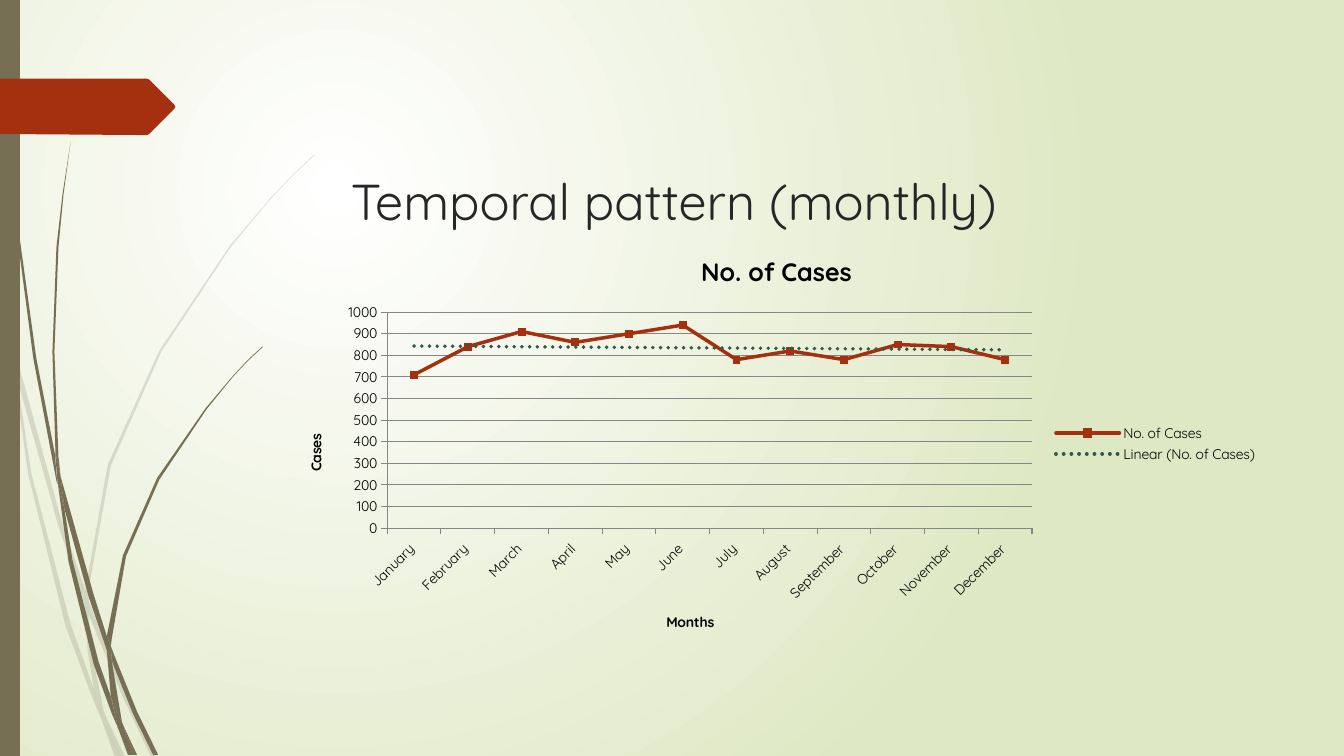
from lxml import etree
from pptx import Presentation
from pptx.chart.data import CategoryChartData
from pptx.dml.color import RGBColor
from pptx.enum.chart import XL_CHART_TYPE, XL_LEGEND_POSITION, XL_MARKER_STYLE, XL_TICK_MARK
from pptx.enum.shapes import MSO_SHAPE
from pptx.enum.text import MSO_ANCHOR, PP_ALIGN
from pptx.oxml import parse_xml
from pptx.oxml.ns import nsdecls, qn
from pptx.util import Pt

LINE_MARKERS = XL_CHART_TYPE.LINE_MARKERS
LEGEND_RIGHT = XL_LEGEND_POSITION.RIGHT
SQUARE = XL_MARKER_STYLE.SQUARE
TICK_OUT, TICK_NONE = XL_TICK_MARK.OUTSIDE, XL_TICK_MARK.NONE
RECTANGLE = MSO_SHAPE.RECTANGLE
TOP, LEFT = MSO_ANCHOR.TOP, PP_ALIGN.LEFT

EMU_PER_PX = 12192000 / 1344
OUTLINE_UNIT = 9144  # outlines are drawn on a grid of 1/100 inch
SLIDE_WIDTH, SLIDE_HEIGHT = 1344, 756
FONT = "Quicksand"
COLORS = {
    "light": "FFFFFF", "leaf": "DFE8C4", "stem": "766F54", "accent": "A53010",
    "title": "262626", "text": "000000", "grid": "868686", "trend": "325949",
}

PALE_STEMS = [
    [(11, 350), (9, 322), (0, 282), (0, 299), (10, 344)],
    [(58, 522), (84, 599), (85, 586), (62, 520), (14, 345), (17, 376)],
    [(92, 607), (88, 596), (88, 610), (123, 694), (150, 751), (155, 751), (127, 692)],
    [(119, 751), (124, 751), (105, 711)],
    [(93, 683), (70, 619), (31, 469), (17, 376), (11, 350), (28, 470), (65, 621),
     (92, 693), (101, 714), (99, 707)],
    [(84, 599), (87, 646), (93, 683), (96, 692), (105, 711), (103, 706), (91, 646),
     (88, 610), (88, 608)],
    [(88, 584), (110, 462), (160, 349), (229, 245), (268, 198), (290, 175), (312, 154),
     (312, 153), (289, 175), (268, 197), (228, 244), (158, 348), (107, 461), (85, 584),
     (85, 586), (88, 596)],
    [(101, 714), (114, 751), (119, 751)],
    [(88, 608), (88, 610), (88, 596), (85, 586), (84, 599)],
    [(96, 692), (93, 683), (99, 707), (101, 714), (119, 751), (105, 711)],
]
DARK_STEMS = [
    [(7, 110), (17, 233), (33, 355), (56, 477), (57, 481), (55, 457), (55, 453), (36, 355),
     (19, 232), (8, 109), (5, 48), (4, 0), (3, 0), (4, 48)],
    [(88, 592), (106, 645), (106, 633), (106, 631), (93, 590), (60, 472), (64, 505)],
    [(113, 649), (110, 641), (111, 656), (132, 708), (152, 749), (157, 749), (136, 706)],
    [(110, 691), (98, 657), (72, 556), (64, 505), (57, 477), (68, 557), (93, 659),
     (111, 708), (117, 722), (116, 717)],
    [(60, 472), (58, 453), (54, 349), (58, 245), (63, 193), (70, 141), (62, 193),
     (56, 245), (52, 349), (55, 449)],
    [(133, 749), (136, 749), (122, 719)],
    [(57, 477), (64, 505), (60, 472), (55, 449), (55, 453)],
    [(111, 633), (125, 552), (158, 476), (205, 406), (231, 374), (245, 359), (261, 344),
     (260, 344), (245, 358), (231, 373), (204, 405), (156, 474), (122, 551), (106, 631),
     (110, 641)],
    [(117, 722), (127, 749), (131, 749)],
    [(106, 645), (110, 691), (116, 706), (122, 719), (121, 716), (111, 656), (109, 651)],
    [(106, 645), (109, 651), (111, 656), (110, 641), (106, 631), (106, 633)],
    [(116, 706), (110, 691), (116, 717), (117, 722), (130, 749), (133, 749), (122, 719)],
]
TAG = [(173, 108), (148, 133), (146, 134), (136, 134), (0, 133), (0, 78), (136, 78),
       (146, 78), (148, 79), (173, 104), (174, 106)]
# The chart's category names end in a space, which shifts the slanted labels.
MONTHS = [month + " " for month in (
    "January", "February", "March", "April", "May", "June", "July",
    "August", "September", "October", "November", "December")]
CASES = [710, 840, 910, 860, 900, 940, 780, 820, 780, 850, 840, 780]


def px(length):
    return round(length * EMU_PER_PX)


def color(name):
    return RGBColor.from_string(COLORS[name])


def set_font(font, **formats):
    font.color.rgb = color(formats.pop("color"))
    for name, value in ({"name": FONT} | formats).items():
        setattr(font, name, value)


def paint(shape, name, opacity=100):
    shape.shadow.inherit = False
    shape.fill.solid()
    shape.fill.fore_color.rgb = color(name)
    shape.line.fill.background()
    if opacity < 100:
        tint = shape.element.spPr.find(".//" + qn("a:srgbClr"))
        etree.SubElement(tint, qn("a:alpha"), val=str(opacity * 1000))


def add_background(slide):
    slide.element.cSld.insert(0, parse_xml(
        f'<p:bg {nsdecls("p", "a")}><p:bgPr><a:gradFill rotWithShape="1"><a:gsLst>'
        f'<a:gs pos="0"><a:srgbClr val="{COLORS["light"]}"/></a:gs>'
        f'<a:gs pos="100000"><a:srgbClr val="{COLORS["leaf"]}"/></a:gs></a:gsLst>'
        '<a:path path="circle"><a:fillToRect l="50000" t="50000" r="100000" b="100000"/>'
        '</a:path></a:gradFill><a:effectLst/></p:bgPr></p:bg>'))


def add_outline(slide, points, name, opacity=100):
    builder = slide.shapes.build_freeform(*points[0], scale=OUTLINE_UNIT)
    builder.add_line_segments(points[1:], close=True)
    paint(builder.convert_to_shape(), name, opacity)


def add_side_decoration(slide):
    for stems, opacity in ((PALE_STEMS, 20), (DARK_STEMS, 100)):
        for points in stems:
            add_outline(slide, points, "stem", opacity)
    bar = slide.shapes.add_shape(RECTANGLE, 0, 0, px(20), px(SLIDE_HEIGHT))
    paint(bar, "stem")
    add_outline(slide, TAG, "accent")


def add_title(slide, box, text):
    frame = slide.shapes.add_textbox(*map(px, box)).text_frame
    frame.word_wrap = True
    frame.vertical_anchor = TOP
    para = frame.paragraphs[0]
    para.alignment = LEFT
    span = para.add_run()
    span.text = text
    set_font(span.font, size=Pt(36), color="title")


def set_heading(heading, text, size):
    heading.text_frame.text = text
    set_font(heading.text_frame.paragraphs[0].runs[0].font,
             size=Pt(size), bold=True, color="text")


def style_axis(axis, title):
    axis.major_tick_mark, axis.minor_tick_mark = TICK_OUT, TICK_NONE
    axis.format.line.color.rgb = color("grid")
    set_font(axis.tick_labels.font, size=Pt(10), color="text")
    set_heading(axis.axis_title, title, 10)


def add_trend_line(series):
    trend = parse_xml(
        f'<c:trendline {nsdecls("c", "a")}><c:spPr><a:ln w="{Pt(2.75)}" cap="rnd"><a:solidFill>'
        f'<a:srgbClr val="{COLORS["trend"]}"/></a:solidFill><a:prstDash val="sysDot"/></a:ln>'
        '</c:spPr><c:trendlineType val="linear"/><c:dispRSqr val="0"/><c:dispEq val="0"/>'
        '</c:trendline>')
    series._element.find(qn("c:cat")).addprevious(trend)


def style_series(series):
    series.smooth = False
    series.format.line.width = Pt(2.5)
    series.format.line.color.rgb = color("accent")
    series._element.find(".//" + qn("a:ln")).set("cap", "rnd")
    series.marker.style, series.marker.size = SQUARE, 5
    series.marker.format.fill.solid()
    series.marker.format.fill.fore_color.rgb = color("accent")
    series.marker.format.line.color.rgb = color("accent")
    add_trend_line(series)


def place_plot(chart, box, plot_box):
    """Fix the inner plot area, given in slide px, within the chart box."""
    left, top, width, height = box
    x, y, w, h = plot_box
    shares = {"x": (x - left) / width, "y": (y - top) / height, "w": w / width, "h": h / height}
    values = "".join(f'<c:{key} val="{share:.3f}"/>' for key, share in shares.items())
    area = chart._chartSpace.find(".//" + qn("c:plotArea"))
    for layout in area.findall(qn("c:layout")):
        area.remove(layout)
    area.insert(0, parse_xml(
        f'<c:layout {nsdecls("c")}><c:manualLayout><c:layoutTarget val="inner"/>'
        f'<c:xMode val="edge"/><c:yMode val="edge"/>{values}</c:manualLayout></c:layout>'))


def add_case_chart(slide, box):
    chart_data = CategoryChartData()
    chart_data.categories = MONTHS
    chart_data.add_series("No. of Cases", CASES)
    chart = slide.shapes.add_chart(LINE_MARKERS, *map(px, box), chart_data).chart
    set_font(chart.font, size=Pt(10), color="text")
    set_heading(chart.chart_title, "No. of Cases", 18)
    chart.has_legend = True
    chart.legend.position = LEGEND_RIGHT
    chart.legend.include_in_layout = False
    style_axis(chart.category_axis, "Months")
    style_axis(chart.value_axis, "Cases")
    label_body = chart.category_axis._element.find(qn("c:txPr")).find(qn("a:bodyPr"))
    label_body.set("rot", "-2700000")
    for name, value in {"minimum_scale": 0, "maximum_scale": 1000, "major_unit": 100}.items():
        setattr(chart.value_axis, name, value)
    chart.value_axis.major_gridlines.format.line.color.rgb = color("grid")
    chart.plots[0].vary_by_categories = False
    style_series(chart.plots[0].series[0])
    left, top = box[:2]
    place_plot(chart, box, (left + 102, top + 77, 645, 216))


def main():
    deck = Presentation()
    deck.slide_width, deck.slide_height = px(SLIDE_WIDTH), px(SLIDE_HEIGHT)
    page = deck.slides.add_slide(deck.slide_layouts[6])
    add_background(page)
    add_side_decoration(page)
    add_title(page, (341, 165, 983, 141), "Temporal pattern (monthly)")
    add_case_chart(page, (285, 235, 983, 417))
    deck.save("out.pptx")


if __name__ == "__main__":
    main()
